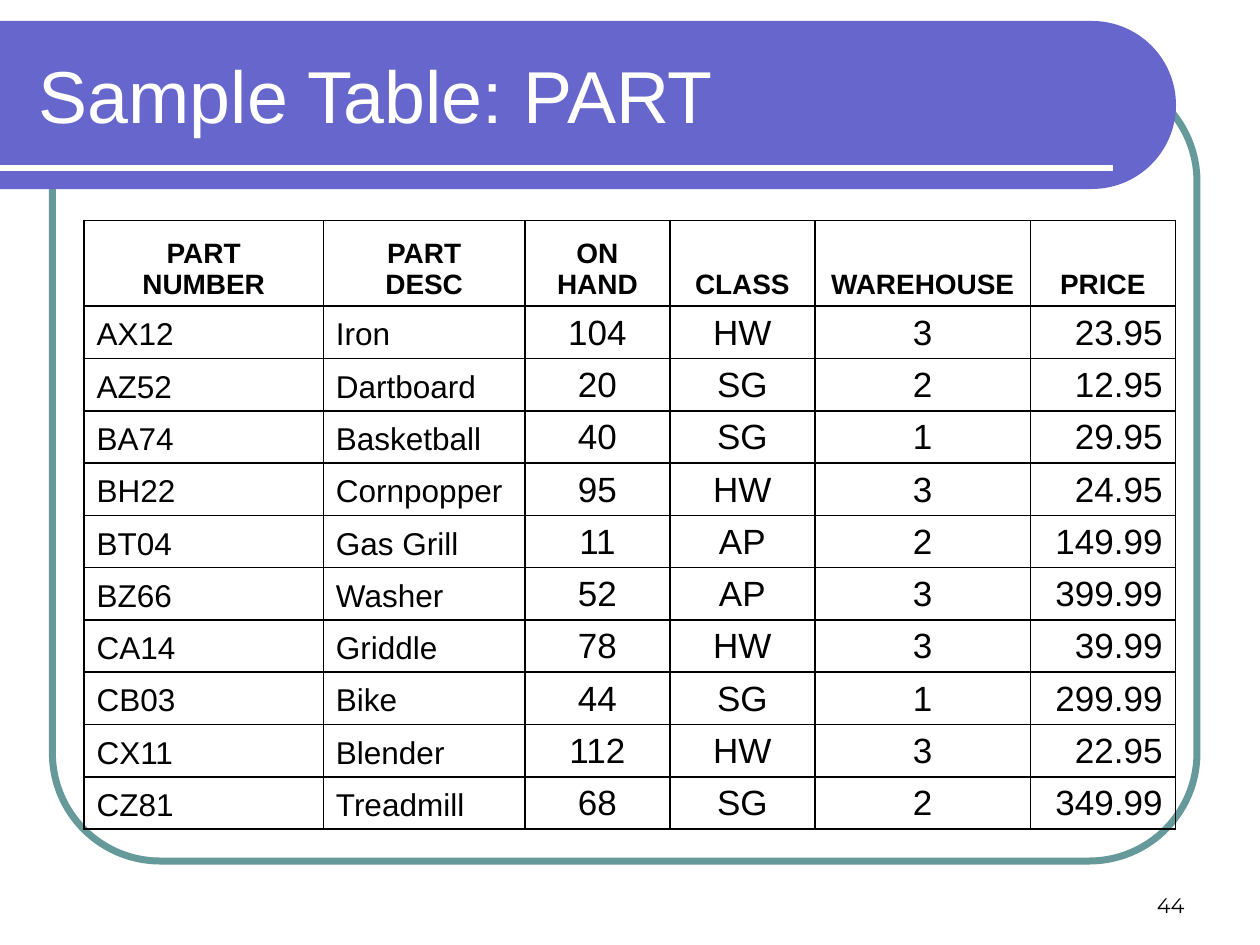
from dataclasses import dataclass
from math import cos, pi, sin

from lxml.etree import SubElement
from pptx import Presentation
from pptx.dml.color import RGBColor
from pptx.enum.shapes import MSO_CONNECTOR as Conn, MSO_SHAPE as Shape
from pptx.enum.text import MSO_ANCHOR as Anchor, PP_ALIGN as Align
from pptx.oxml.ns import qn
from pptx.util import Pt

BLACK, WHITE, VIOLET, TEAL = "000000", "FFFFFF", "6666CC", "669999"


@dataclass
class Column:
    """One table column: heading, width and body text format."""
    heading: str
    width: float
    size: float
    align: Align


COLUMNS = [
    Column("PART\vNUMBER", 136.8, 18, Align.LEFT),
    Column("PART\vDESC", 115.2, 18, Align.LEFT),
    Column("ON\vHAND", 82.8, 20, Align.CENTER),
    Column("CLASS", 82.8, 20, Align.CENTER),
    Column("WAREHOUSE", 123.2, 20, Align.CENTER),
    Column("PRICE", 82.8, 20, Align.RIGHT),
]
PARTS = [
    ("AX12", "Iron", "104", "HW", "3", "23.95"),
    ("AZ52", "Dartboard", "20", "SG", "2", "12.95"),
    ("BA74", "Basketball", "40", "SG", "1", "29.95"),
    ("BH22", "Cornpopper", "95", "HW", "3", "24.95"),
    ("BT04", "Gas Grill", "11", "AP", "2", "149.99"),
    ("BZ66", "Washer", "52", "AP", "3", "399.99"),
    ("CA14", "Griddle", "78", "HW", "3", "39.99"),
    ("CB03", "Bike", "44", "SG", "1", "299.99"),
    ("CX11", "Blender", "112", "HW", "3", "22.95"),
    ("CZ81", "Treadmill", "68", "SG", "2", "349.99"),
]
HEAD_HEIGHT, ROW_HEIGHT = 49, 29.9


def rgb(color: str) -> RGBColor:
    """Turn a hex string into a colour."""
    return RGBColor.from_string(color)


def format_text(tf, size: float, color: str, align: Align,
                font: str = "Arial", bold: bool = False) -> None:
    """Format the first paragraph of a text frame."""
    p = tf.paragraphs[0]
    p.alignment = align
    f = p.font
    f.name, f.size, f.bold = font, Pt(size), bold
    f.color.rgb = rgb(color)


def add_frame(s) -> None:
    """Draw the rounded outline behind the table."""
    sp = s.shapes.add_shape(Shape.ROUNDED_RECTANGLE, Pt(30), Pt(42), Pt(654), Pt(450))
    sp.adjustments[0] = 0.137
    sp.shadow.inherit = False
    sp.fill.background()
    sp.line.color.rgb = rgb(TEAL)
    sp.line.width = Pt(4)


def add_banner(s, top: float = 12, radius: float = 48, center: float = 624) -> None:
    """Draw the title banner with its semicircular right end."""
    steps = 60
    angles = [pi * i / steps - pi / 2 for i in range(steps + 1)]
    arc = [(Pt(center + radius * cos(a)), Pt(top + radius + radius * sin(a)))
           for a in angles]
    builder = s.shapes.build_freeform(0, Pt(top))
    builder.add_line_segments(arc + [(0, Pt(top + 2 * radius))], close=True)
    sp = builder.convert_to_shape()
    sp.shadow.inherit = False
    sp.fill.solid()
    sp.fill.fore_color.rgb = rgb(VIOLET)
    sp.line.fill.background()


def add_rule(s) -> None:
    """Draw the white line under the title."""
    line = s.shapes.add_connector(Conn.STRAIGHT, 0, Pt(96), Pt(636), Pt(96))
    line.line.color.rgb = rgb(WHITE)
    line.line.width = Pt(3)
    SubElement(line.element.spPr, qn("a:effectLst"))


def add_page_number(s) -> None:
    """Write the page number at the lower right."""
    tf = s.shapes.add_textbox(Pt(516), Pt(492), Pt(168), Pt(36)).text_frame
    tf.word_wrap = True
    tf.vertical_anchor = Anchor.BOTTOM
    tf.text = "44"
    format_text(tf, 12, BLACK, Align.RIGHT, "Montserrat")


def set_title(s) -> None:
    """Place the title over the banner."""
    title = s.shapes.title
    title.left, title.top, title.width, title.height = Pt(15), Pt(18), Pt(631.5), Pt(72)
    tf = title.text_frame
    tf.text = "Sample Table: PART"
    tf.vertical_anchor = Anchor.MIDDLE
    format_text(tf, 42, WHITE, Align.LEFT)
    title.element.getparent().append(title.element)


def add_borders(cell) -> None:
    """Give a cell thin black borders on all sides."""
    props = cell._tc.get_or_add_tcPr()
    for i, side in enumerate(("a:lnL", "a:lnR", "a:lnT", "a:lnB")):
        ln = props.makeelement(qn(side), {"w": str(Pt(1))})
        SubElement(SubElement(ln, qn("a:solidFill")), qn("a:srgbClr"), val=BLACK)
        props.insert(i, ln)


def fill_cell(cell, text: str, size: float, align: Align, bold: bool) -> None:
    """Write one table cell."""
    cell.text = text
    cell.vertical_anchor = Anchor.BOTTOM
    cell.margin_top = cell.margin_bottom = Pt(3.4)
    cell.fill.background()
    format_text(cell.text_frame, size, BLACK, align, bold=bold)
    add_borders(cell)


def add_part_table(s) -> None:
    """Build the table of parts."""
    width = sum(c.width for c in COLUMNS)
    height = HEAD_HEIGHT + ROW_HEIGHT * len(PARTS)
    table = s.shapes.add_table(len(PARTS) + 1, len(COLUMNS), Pt(48), Pt(126),
                               Pt(width), Pt(height)).table
    table.horz_banding = table.first_row = False
    for i, row in enumerate(table.rows):
        row.height = Pt(ROW_HEIGHT if i else HEAD_HEIGHT)
    for j, col in enumerate(COLUMNS):
        table.columns[j].width = Pt(col.width)
        fill_cell(table.cell(0, j), col.heading, 16, Align.CENTER, True)
        for i, part in enumerate(PARTS, 1):
            fill_cell(table.cell(i, j), part[j], col.size, col.align, False)


def main() -> None:
    """Build and save the slide."""
    prs = Presentation()
    prs.slide_width, prs.slide_height = Pt(720), Pt(540)
    s = prs.slides.add_slide(prs.slide_layouts[5])
    add_frame(s)
    add_banner(s)
    add_rule(s)
    add_page_number(s)
    set_title(s)
    add_part_table(s)
    prs.save("out.pptx")


main()
